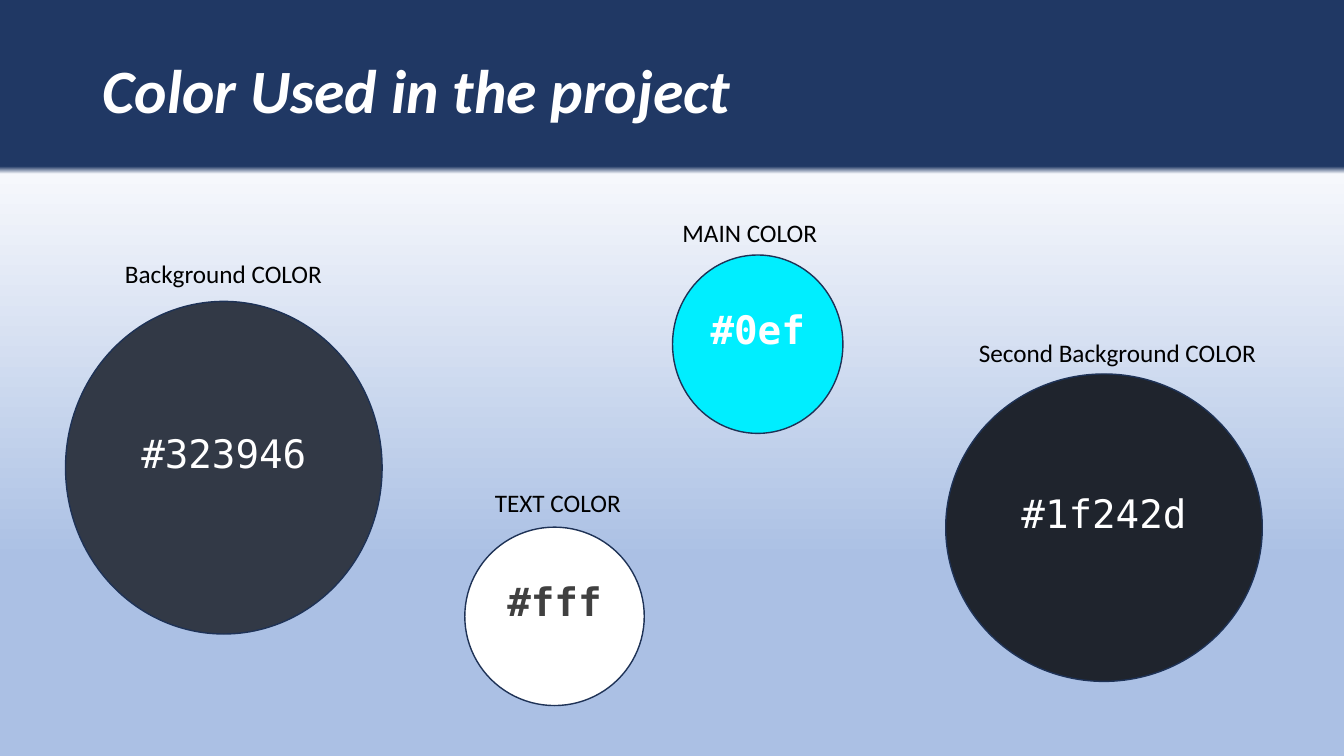
from copy import deepcopy
from dataclasses import dataclass
from pptx import Presentation
from pptx import util as u
from pptx.dml.color import RGBColor
from pptx.enum import shapes, text
from pptx.oxml.ns import qn

TITLE = ("Color Used in the project", (0.92, 0.4, 11.5, 1.06))
BACKDROP = [(0.22, "203864"), (0.23, "F6F8FC"), (0.74, "ABC0E4")]
SWATCHES = [
    ("MAIN COLOR", (6.67, 2.11, 1.86), "#0ef", (6.67, 2.53, 1.69, 1.77), "00EEFF", "FFFFFF", True),
    ("TEXT COLOR", (4.81, 4.79, 1.86), "#fff", (4.61, 5.23, 1.78, 1.77), "FFFFFF", "404040", True),
    ("Background COLOR", (1.14, 2.51, 2.4), "#323946", (0.65, 2.99, 3.14, 3.3), "323946", "FFFFFF", False),
    ("Second Background COLOR", (9.61, 3.3, 3.32), "#1f242d", (9.38, 3.71, 3.14, 3.05), "1F242D", "FFFFFF", False),
]


@dataclass(frozen=True)
class Theme:
    body: str = "Calibri"
    code: str = "DejaVu Sans Mono"
    white: str = "FFFFFF"
    black: str = "000000"
    outline: str = "1E3256"
    title_size: int = 44
    code_size: int = 28
    label_size: int = 18
    label_height: float = 0.4
    code_lift: float = 0.35


T = Theme()


def rgb(value):
    return RGBColor.from_string(value)


def box(values):
    return [u.Inches(v) for v in values]


def write(sp, words, font, size, color, bold=False, italic=False):
    tf = sp.text_frame
    tf.word_wrap = True
    tf.text = words
    p = tf.paragraphs[0]
    f = p.runs[0].font
    f.name, f.size, f.bold, f.italic = font, u.Pt(size), bold, italic
    f.color.rgb = rgb(color)
    return tf, p


def paint_backdrop(s):
    fill = s.background.fill
    fill.gradient()
    fill.gradient_angle = 270
    stops = s.element.find(".//" + qn("a:gsLst"))
    stops.append(deepcopy(stops[-1]))
    for stop, (position, color) in zip(fill.gradient_stops, BACKDROP):
        stop.position = position
        stop.color.rgb = rgb(color)


def add_title(s):
    words, place = TITLE
    sp = s.shapes.add_textbox(*box(place))
    tf, p = write(sp, words, T.body, T.title_size, T.white, True, True)
    tf.vertical_anchor = text.MSO_ANCHOR.MIDDLE
    p.line_spacing = 0.9


def add_swatch(s, label, label_place, code, place, color, ink, bold):
    sp = s.shapes.add_shape(shapes.MSO_SHAPE.FLOWCHART_CONNECTOR, *box(place))
    sp.shadow.inherit = False
    sp.fill.solid()
    sp.fill.fore_color.rgb = rgb(color)
    sp.line.color.rgb = rgb(T.outline)
    sp.line.width = u.Pt(1)
    tf, p = write(sp, code, T.code, T.code_size, ink, bold)
    tf.vertical_anchor = text.MSO_ANCHOR.MIDDLE
    tf.margin_bottom = u.Inches(T.code_lift)
    p.alignment = text.PP_ALIGN.CENTER
    caption = s.shapes.add_textbox(*box((*label_place, T.label_height)))
    write(caption, label, T.body, T.label_size, T.black)


def main():
    prs = Presentation()
    prs.slide_width, prs.slide_height = box((13.33, 7.5))
    s = prs.slides.add_slide(prs.slide_layouts[6])
    paint_backdrop(s)
    add_title(s)
    for swatch in SWATCHES:
        add_swatch(s, *swatch)
    prs.save("out.pptx")


if __name__ == "__main__":
    main()
